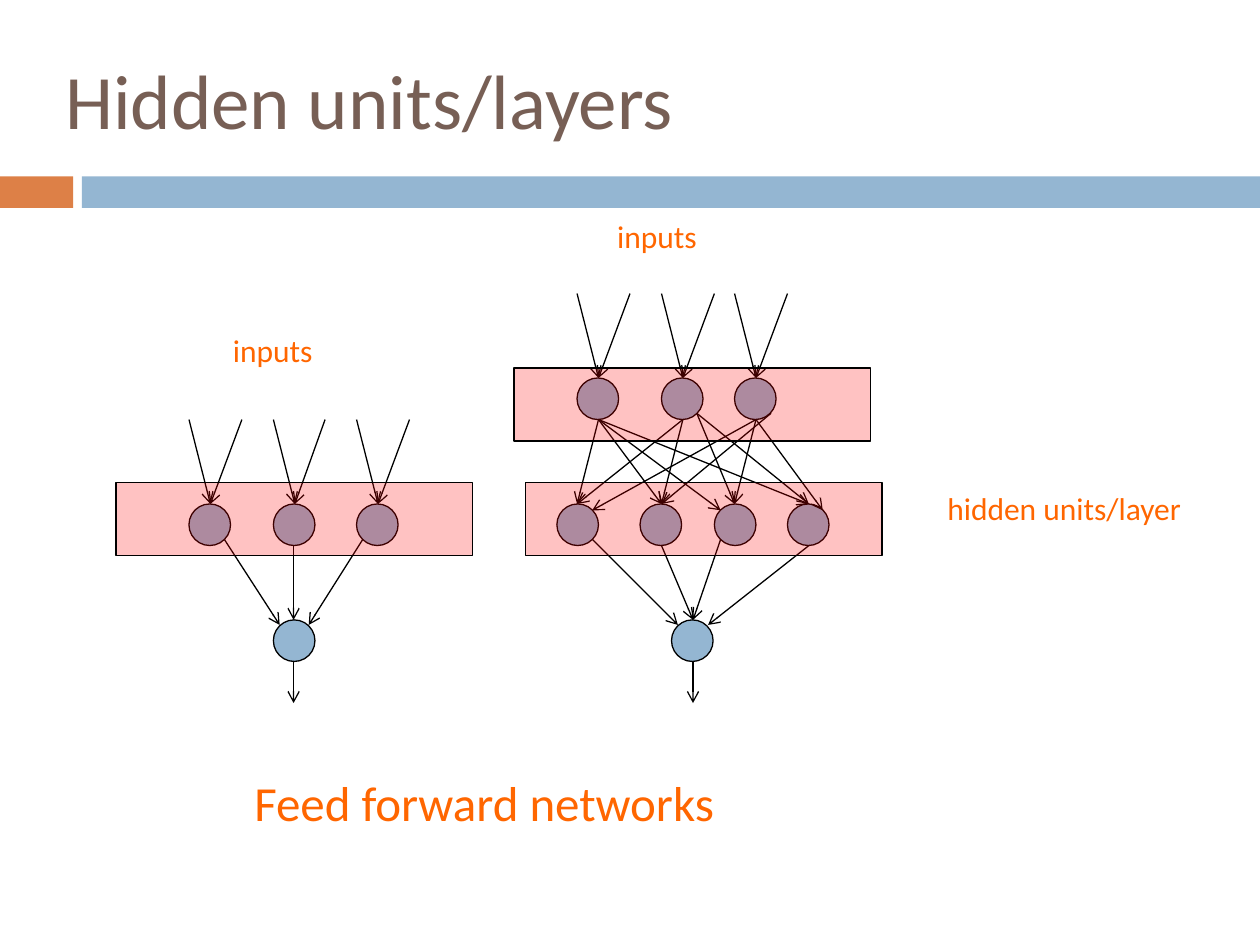
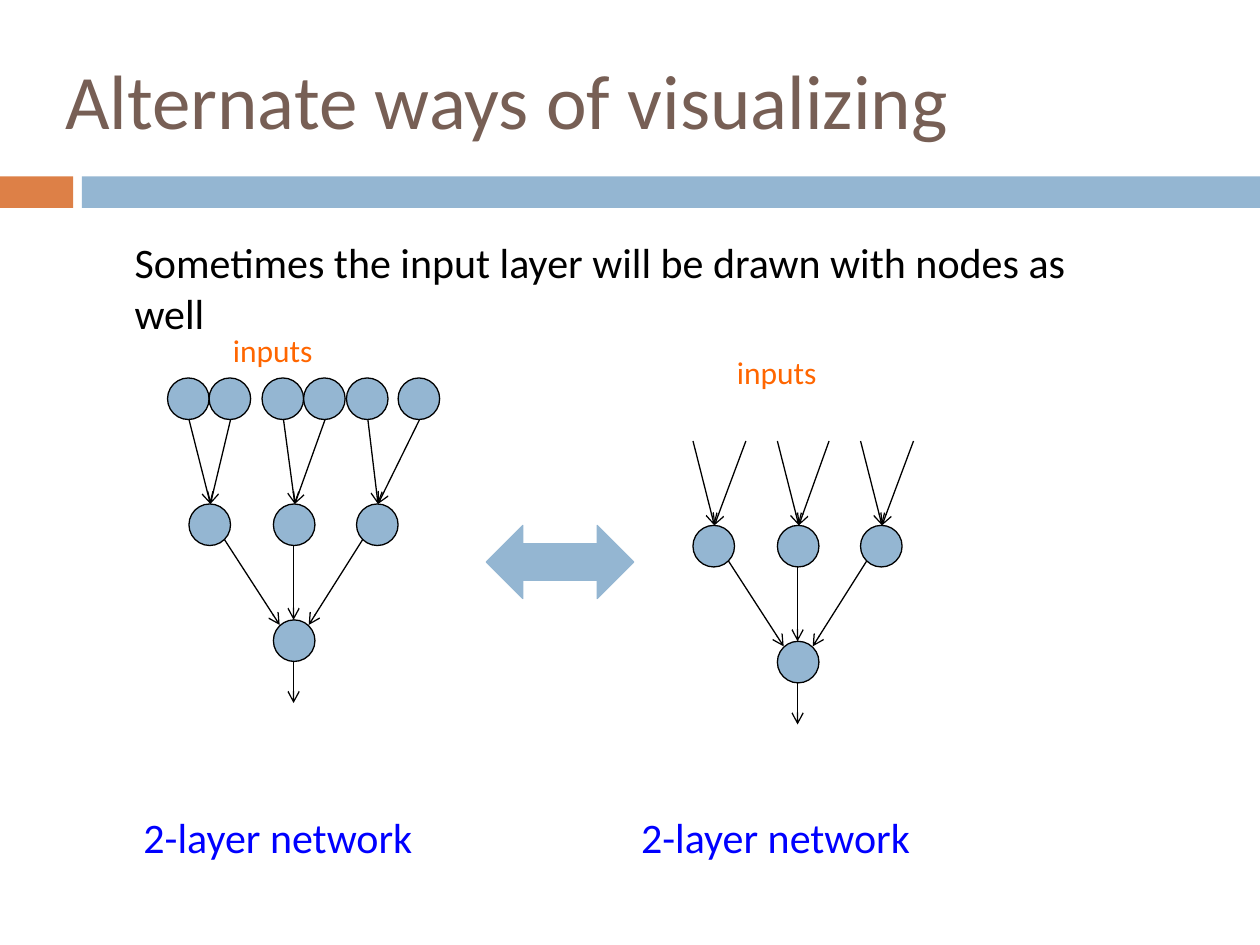
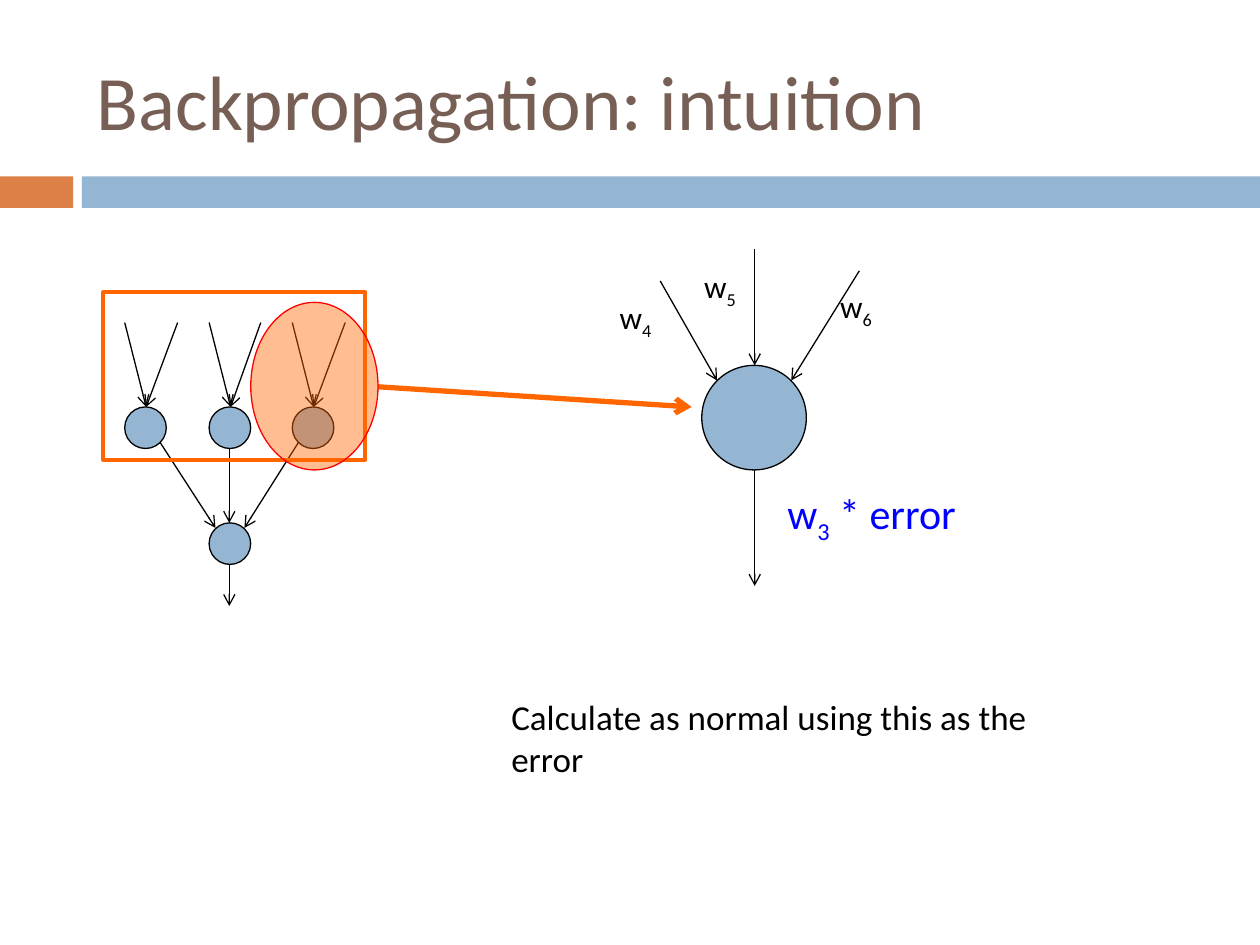
import pptx
import pptx.util
import pptx.dml.color
import pptx.enum.shapes
import pptx.enum.text
import lxml.etree

Inches = pptx.util.Inches
Pt = pptx.util.Pt
Kind = pptx.enum.shapes.MSO_SHAPE
Fit = pptx.enum.text.MSO_AUTO_SIZE
Anchor = pptx.enum.text.MSO_ANCHOR

FONT = "Calibri"
BLUE, RUST, BROWN = "94B6D2", "DD8047", "775F55"
BLACK, RED, ORANGE, INK = "000000", "FF0000", "FF6600", "0000FF"
SIZE, HALF = 0.33, 0.17  # node width and its half
A = "{http://schemas.openxmlformats.org/drawingml/2006/main}"


def hue(code):
    return pptx.dml.color.RGBColor.from_string(code)


def put(page, kind, box, fill, edge=None, width=0.75, alpha=None):
    shape = page.shapes.add_shape(kind, *[Inches(v) for v in box])
    shape.shadow.inherit = False
    if fill:
        shape.fill.solid()
        shape.fill.fore_color.rgb = hue(fill)
    else:
        shape.fill.background()
    if alpha:
        color = shape._element.spPr.find(f"{A}solidFill/{A}srgbClr")
        lxml.etree.SubElement(color, A + "alpha").set("val", str(alpha * 1000))
    if edge:
        shape.line.color.rgb = hue(edge)
        shape.line.width = Pt(width)
    else:
        shape.line.fill.background()


deck = pptx.Presentation()
deck.slide_width, deck.slide_height = Inches(10), Inches(7.5)
pages = [deck.slides.add_slide(deck.slide_layouts[6]) for _ in range(3)]
layers, views, proof = pages

# Shared bands
for page in pages:
    put(page, Kind.RECTANGLE, (0, 1.4, 0.58, 0.25), RUST)
    put(page, Kind.RECTANGLE, (0.65, 1.4, 9.35, 0.25), BLUE)

# Small networks: page, corner of first hidden unit, input tips, input nodes
UNITS = (0, 0.67, 1.33)
PLAIN = (0, 0.42, 0.67, 1.08, 1.33, 1.75)
CLOSE = (0, 0.33, 0.75, 1.08, 1.42, 1.83)
nets = [
    (layers, 1.5, 4, PLAIN, False),
    (views, 1.5, 4, CLOSE, True),
    (views, 5.5, 4.17, PLAIN, False),
    (proof, 0.99, 3.23, PLAIN, False),
]
WIRES = [
    (0.28, 0.28, 0.72, 0.96), (0.83, 0.33, 0.83, 0.92),
    (1.38, 0.28, 0.95, 0.96), (0.83, 1.25, 0.83, 1.58),
]
nodes, links = [], []
for page, x, y, tips, drawn in nets:
    nodes += [(page, x + unit, y, SIZE) for unit in UNITS]
    nodes.append((page, x + 0.67, y + 0.92, SIZE))
    for a, b, c, d in WIRES:
        links.append((page, x + a, y + b, x + c, y + d, BLACK, 0.75))
    for i, tip in enumerate(tips):
        end = x + UNITS[i // 2] + HALF
        links.append((page, x + tip, y - 0.67, end, y, BLACK, 0.75))
        if drawn:
            nodes.append((page, x + tip - HALF, y - 1, SIZE))

# Network with two hidden layers
for x in (4.58, 5.25, 5.83):
    nodes.append((layers, x, 3, SIZE))
    for tip in (x, x + 0.42):
        links.append((layers, tip, 2.33, x + HALF, 3, BLACK, 0.75))
for x in (4.42, 5.08, 5.67, 6.25):
    nodes.append((layers, x, 4, SIZE))
nodes.append((layers, 5.33, 4.92, SIZE))
for ends in [
    (4.75, 3.33, 4.58, 4), (4.75, 3.33, 5.25, 4),
    (4.75, 3.33, 5.72, 4.05), (4.75, 3.33, 6.42, 4),
    (5.42, 3.33, 4.58, 4), (5.42, 3.33, 5.25, 4),
    (5.53, 3.28, 5.83, 4), (5.53, 3.28, 6.42, 4),
    (6, 3.33, 4.7, 4.05), (6.12, 3.28, 5.25, 4),
    (6, 3.33, 5.83, 4), (6, 3.33, 6.53, 4.05),
    (4.7, 4.28, 5.38, 4.96), (5.25, 4.33, 5.5, 4.92),
    (5.72, 4.28, 5.5, 4.92), (6.42, 4.33, 5.62, 4.96),
    (5.5, 5.25, 5.5, 5.58),
]:
    links.append((layers, *ends, BLACK, 0.75))

# Enlarged unit with its weights
nodes.append((proof, 5.57, 2.9, 0.83))
for ends in [
    (5.99, 3.73, 5.99, 4.65), (5.24, 2.23, 5.69, 3.02),
    (5.99, 1.98, 5.99, 2.9), (6.82, 2.15, 6.28, 3.02),
]:
    links.append((proof, *ends, BLACK, 0.75))
links.append((proof, 3, 3.07, 5.49, 3.23, ORANGE, 3))

# Nodes, then arrows
for page, x, y, size in nodes:
    put(page, Kind.OVAL, (x, y, size, size), BLUE, BLACK)
for page, a, b, c, d, color, width in links:
    link = page.shapes.add_connector(
        pptx.enum.shapes.MSO_CONNECTOR.STRAIGHT,
        Inches(a), Inches(b), Inches(c), Inches(d))
    link.line.color.rgb = hue(color)
    link.line.width = Pt(width)
    tail = lxml.etree.SubElement(link.line._get_or_add_ln(), A + "tailEnd")
    tail.set("type", "arrow")
    lxml.etree.SubElement(link._element.spPr, A + "effectLst")

# Marked areas
for x, y in [(4.17, 3.83), (4.08, 2.92), (0.92, 3.83)]:
    put(layers, Kind.RECTANGLE, (x, y, 2.83, 0.58), RED, BLACK, alpha=24)
put(views, Kind.LEFT_RIGHT_ARROW, (3.86, 4.17, 1.17, 0.58), BLUE, BLUE)
put(proof, Kind.RECTANGLE, (0.82, 2.32, 2.08, 1.33), None, ORANGE, 2.25)
put(proof, Kind.OVAL, (1.99, 2.4, 1.01, 1.33), ORANGE, RED, alpha=43)

# Titles and labels: page, box, size, colour, runs (digits are subscripts)
notes = [
    (layers, (0.42, 0.03, 9, 1.5), 44, BROWN, ["Hidden units/layers"]),
    (layers, (1.75, 2.58, 1.83, 0.5), 18, ORANGE, ["inputs"]),
    (layers, (4.8, 1.67, 1.83, 0.5), 18, ORANGE, ["inputs"]),
    (layers, (1.92, 6.08, 4.25, 0.57), 28, ORANGE, ["Feed forward networks"]),
    (layers, (7.42, 3.83, 2.17, 0.4), 18, ORANGE, ["hidden units/layer"]),
    (views, (0.42, 0.03, 9, 1.5), 44, BROWN, ["Alternate ways of visualizing"]),
    (views, (0.97, 1.83, 8.03, 0.5), 24, BLACK,
     ["Sometimes the input layer will be drawn with nodes as well"]),
    (views, (1.75, 2.58, 1.83, 0.5), 18, ORANGE, ["inputs"]),
    (views, (5.75, 2.75, 1.83, 0.5), 18, ORANGE, ["inputs"]),
    (views, (1.04, 6.39, 2.4, 0.5), 24, INK, ["2-layer network"]),
    (views, (4.99, 6.39, 2.4, 0.5), 24, INK, ["2-layer network"]),
    (proof, (0.67, 0.25, 8.92, 1.08), 44, BROWN, ["Backpropagation: intuition"]),
    (proof, (6.15, 3.82, 1.93, 0.5), 24, INK, ["w", "3", " * error"]),
    (proof, (4.82, 2.32, 0.67, 0.4), 18, BLACK, ["w", "4"]),
    (proof, (5.49, 2.07, 0.67, 0.4), 18, BLACK, ["w", "5"]),
    (proof, (6.57, 2.23, 0.67, 0.4), 18, BLACK, ["w", "6"]),
    (proof, (3.96, 5.47, 4.86, 0.44), 20, BLACK,
     ["Calculate as normal using this as the error"]),
]
for page, box, size, color, runs in notes:
    frame = page.shapes.add_textbox(*[Inches(v) for v in box]).text_frame
    frame.word_wrap = True
    if size == 44:
        frame.vertical_anchor = Anchor.MIDDLE
    else:
        frame.auto_size = Fit.SHAPE_TO_FIT_TEXT
    for words in runs:
        run = frame.paragraphs[0].add_run()
        run.text = words
        run.font.name = FONT
        run.font.size = Pt(size)
        run.font.color.rgb = hue(color)
        if words.isdigit():
            run._r.get_or_add_rPr().set("baseline", "-25000")

deck.save("out.pptx")
